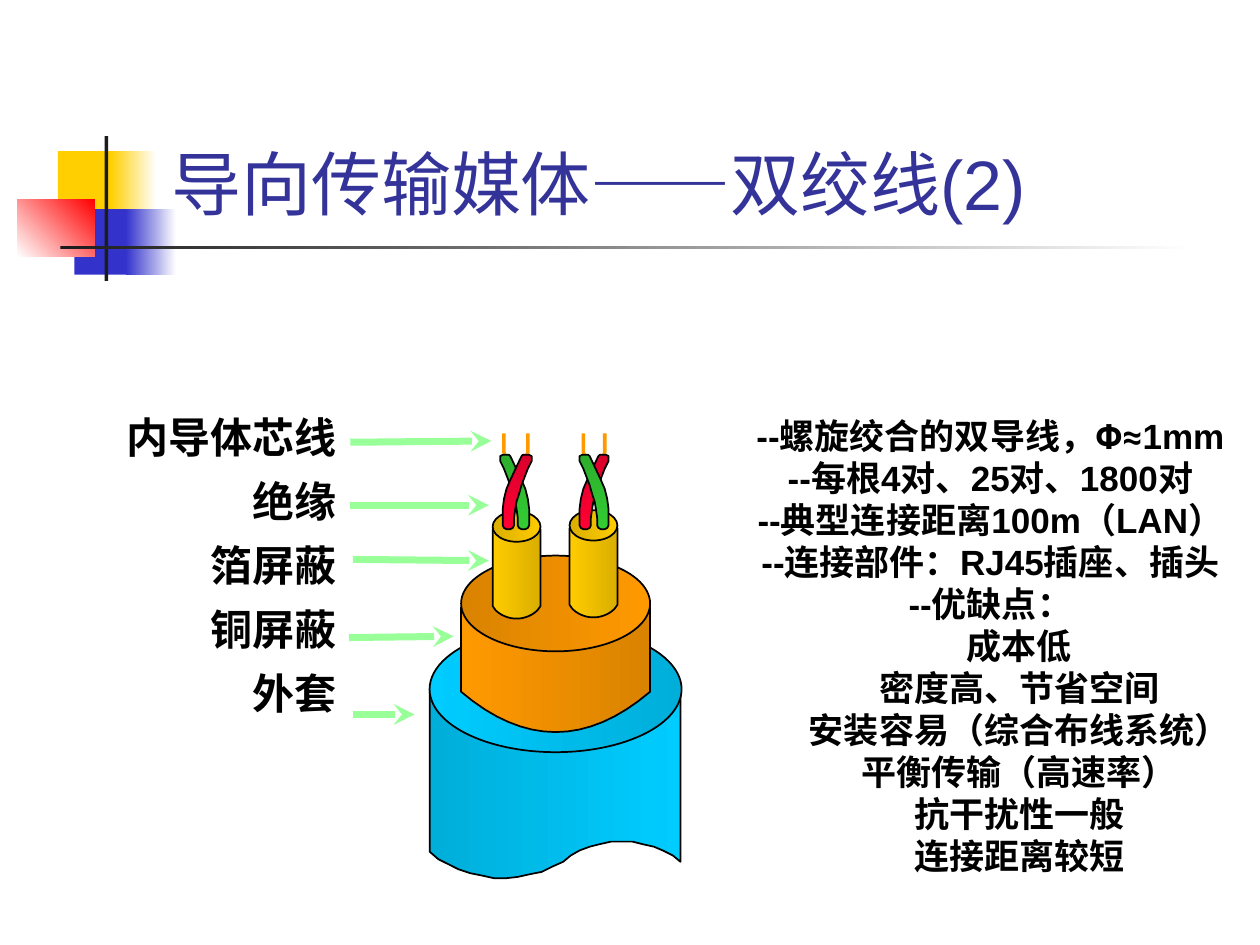
from lxml import etree
from pptx import Presentation
from pptx import util as u
from pptx.dml import color
from pptx.enum import shapes, text
from pptx.oxml import ns

DECOR = [
    ((0.46, 1.2, 0.48, 0.52), "FFCF01", 0),
    ((0.88, 1.2, 0.36, 0.52), ("FFCF01", "FFFFFF"), 0),
    ((0.59, 1.66, 0.46, 0.52), "3333CC", 0),
    ((1, 1.66, 0.4, 0.52), ("3333CC", "FFFFFF"), 0),
    ((0.14, 1.58, 0.61, 0.46), ("FFFFFF", "FF0000"), 45),
    ((0.83, 1.08, 0.03, 1.15), "1C1C1C", 0),
    ((0.48, 1.95, 9, 0.03), ("1C1C1C", "FFFFFF"), 0),
]
BLUE, ORANGE, YELLOW = ("00AEDA", "00CCFF"), ("FF9900", "DA8300"), ("FFCC00", "DAAE00")
GREEN, RED = ("2CAE2C", "33CC33"), ("DA002C", "FF0033")
JACKET = [
    (3.41, 6.76), (3.48, 6.82), (3.56, 6.86), (3.64, 6.9), (3.73, 6.93), (3.83, 6.95),
    (3.92, 6.97), (4.02, 6.97), (4.11, 6.96), (4.2, 6.94), (4.3, 6.92), (4.38, 6.88),
    (4.47, 6.84), (4.53, 6.79), (4.6, 6.75), (4.68, 6.72), (4.76, 6.7), (4.85, 6.68),
    (4.93, 6.68), (5.02, 6.68), (5.1, 6.7), (5.19, 6.72), (5.26, 6.75), (5.34, 6.79),
    (5.4, 6.84), (5.4, 5.47), (3.41, 5.47),
]
CORE = [
    (4.16, 4.19), (4.16, 4.06), (4.15, 4), (4.14, 3.94), (4.12, 3.88), (4.1, 3.82),
    (4.04, 3.71), (4.02, 3.65), (4, 3.59), (4, 3.53), (4, 3.44),
]
SLEEVE = [
    (4, 3.61), (4.02, 3.61), (4.04, 3.61), (4.05, 3.62), (4.06, 3.64), (4.14, 3.81),
    (4.17, 3.88), (4.19, 3.96), (4.2, 4.04), (4.2, 4.15), (4.2, 4.17), (4.19, 4.19),
    (4.17, 4.2), (4.14, 4.2), (4.12, 4.19), (4.11, 4.17), (4.11, 4.11), (4.1, 4.04),
    (4.09, 3.98), (4.07, 3.92), (4.05, 3.85), (4, 3.72), (3.97, 3.66), (3.97, 3.64),
    (3.97, 3.62), (3.99, 3.61),
]
MIRROR_SUM = 8.19
ARROWS = [
    (2.8, 4.44, 3.88, 4.45), (2.8, 5.67, 3.29, 5.67), (2.78, 4.01, 3.88, 4.01),
    (2.77, 5.06, 3.6, 5.05), (2.78, 3.51, 3.9, 3.5),
]
LAYERS = ["内导体芯线", "绝缘", "箔屏蔽", "铜屏蔽", "外套"]
FACTS = [
    [("--", "Arial"), ("螺旋绞合的双导线，Φ≈", "Roboto"), ("1mm", "Arial")],
    *[[(t, "Arial")] for t in (
        "--每根4对、25对、1800对", "--典型连接距离100m（LAN）",
        "--连接部件：RJ45插座、插头", "--优缺点：")],
]
TRAITS = ["成本低", "密度高、节省空间", "安装容易（综合布线系统）",
          "平衡传输（高速率）", "抗干扰性一般", "连接距离较短"]


def rgb(value):
    """Turn a hex string into a colour."""
    return color.RGBColor.from_string(value)


def paint(sp, fill=None, line=None, width=1, angle=0):
    """Give a shape a plain, gradient or empty fill and an optional outline."""
    sp.shadow.inherit = False
    if fill is None:
        sp.fill.background()
    elif isinstance(fill, str):
        sp.fill.solid()
        sp.fill.fore_color.rgb = rgb(fill)
    else:
        sp.fill.gradient()
        sp.fill.gradient_angle = angle
        for stop, value, pos in zip(sp.fill.gradient_stops, fill, (0, 1)):
            stop.color.rgb = rgb(value)
            stop.position = pos
    if line:
        sp.line.color.rgb = rgb(line)
        sp.line.width = u.Pt(width)
    else:
        sp.line.fill.background()


def add_preset(slide, kind, box, fill, line=None, angle=0):
    """Add a painted preset shape."""
    sp = slide.shapes.add_shape(kind, *map(u.Inches, box))
    paint(sp, fill, line, angle=angle)


def add_outline(slide, points, fill=None, line="000000", width=1, angle=0):
    """Add a freeform, closed when it has a fill."""
    pts = [(u.Inches(x), u.Inches(y)) for x, y in points]
    fb = slide.shapes.build_freeform(*pts[0])
    fb.add_line_segments(pts[1:], close=fill is not None)
    paint(fb.convert_to_shape(), fill, line, width, angle)


def add_disk(slide, box, fill):
    """Add the top face of a tube, shaded against its side."""
    add_preset(slide, shapes.MSO_SHAPE.OVAL, box, fill[::-1], "000000")


def add_tube(slide, left, width, top, rim, depth, disk, fill, power):
    """Add a tube with a rounded foot and an oval top face."""
    steps = [i / 16 for i in range(17)]
    foot = [(left + width * t, rim + depth * (4 * t * (1 - t)) ** power) for t in steps]
    add_outline(slide, foot + [(left + width, top), (left, top)], fill)
    add_disk(slide, (left, disk[0], width, disk[1]), fill)


def add_strand(slide, dx, fill, mirrored=False):
    """Add one insulated wire with its bare core."""
    def place(points):
        """Mirror and shift the points of a strand."""
        return [((MIRROR_SUM - x if mirrored else x) + dx, y) for x, y in points]
    add_outline(slide, place(CORE), line="FF9900", width=2)
    add_outline(slide, place(SLEEVE), fill, angle=270)


def add_arrow(slide, ends):
    """Add a straight arrow from a label to its layer."""
    sp = slide.shapes.add_connector(shapes.MSO_CONNECTOR.STRAIGHT, *map(u.Inches, ends))
    sp.line.color.rgb = rgb("99FF99")
    sp.line.width = u.Pt(4)
    etree.SubElement(sp.line._get_or_add_ln(), ns.qn("a:tailEnd"), type="stealth")
    etree.SubElement(sp._element.spPr, ns.qn("a:effectLst"))


def add_run(p, words, value, **fmt):
    """Add a run with its font format."""
    r = p.add_run()
    r.text = words
    for key, val in fmt.items():
        setattr(r.font, key, val)
    r.font.color.rgb = rgb(value)


def add_text(slide, box, paras, size, indents=None, **fmt):
    """Add a wrapped text box with one list of runs per paragraph."""
    tf = slide.shapes.add_textbox(*map(u.Inches, box)).text_frame
    tf.word_wrap = True
    tf.auto_size = text.MSO_AUTO_SIZE.SHAPE_TO_FIT_TEXT
    for i, runs in enumerate(paras):
        p = tf.add_paragraph() if i else tf.paragraphs[0]
        for key, val in fmt.items():
            if i or key != "space_before":
                setattr(p, key, val)
        if indents and indents[i]:
            p._p.get_or_add_pPr().set("marL", str(u.Inches(indents[i])))
        for words, font in runs:
            add_run(p, words, "000000", name=font, size=u.Pt(size), bold=True)


def add_title(slide, words):
    """Place and fill the title."""
    sp = slide.shapes.title
    for key, val in zip(("left", "top", "width", "height"), (1.26, 0.23, 8.52, 1.6)):
        setattr(sp, key, u.Inches(val))
    tf = sp.text_frame
    tf.vertical_anchor = text.MSO_ANCHOR.BOTTOM
    p = tf.paragraphs[0]
    p.alignment = text.PP_ALIGN.LEFT
    add_run(p, words, "333399", name="Arial", size=u.Pt(40))


def add_cable(slide):
    """Draw the cable from the jacket to the twisted wires."""
    add_outline(slide, JACKET, BLUE)
    add_disk(slide, (3.41, 4.97, 2, 1), BLUE)
    add_tube(slide, 3.66, 1.5, 4.82, 5.49, 0.32, (4.41, 0.76), ORANGE, 1)
    for left, top in ((4.52, 4.05), (3.91, 4.06)):
        add_tube(slide, left, 0.38, top + 0.14, top + 0.75, 0.1, (top, 0.24), YELLOW, 0.75)
    add_strand(slide, 0, GREEN)
    add_strand(slide, 0, RED, True)
    add_strand(slide, 0.61, RED, True)
    add_strand(slide, 0.63, GREEN)


def main():
    """Build and save the slide."""
    prs = Presentation()
    prs.slide_width, prs.slide_height = u.Inches(10), u.Inches(7.5)
    slide = prs.slides.add_slide(prs.slide_layouts[5])
    for box, fill, angle in DECOR:
        add_preset(slide, shapes.MSO_SHAPE.RECTANGLE, box, fill, angle=angle)
    add_title(slide, "导向传输媒体——双绞线(2)")
    add_cable(slide)
    add_text(slide, (0.59, 3.28, 2.18, 2.6), [[(t, "Arial Narrow")] for t in LAYERS], 24,
             alignment=text.PP_ALIGN.RIGHT, line_spacing=0.85, space_before=u.Pt(12))
    for ends in ARROWS:
        add_arrow(slide, ends)
    add_text(slide, (5.82, 3.24, 4.08, 3.77), FACTS + [[(t, "Arial")] for t in TRAITS], 20,
             [0] * len(FACTS) + [0.46] * len(TRAITS), alignment=text.PP_ALIGN.CENTER)
    prs.save("out.pptx")


if __name__ == "__main__":
    main()
